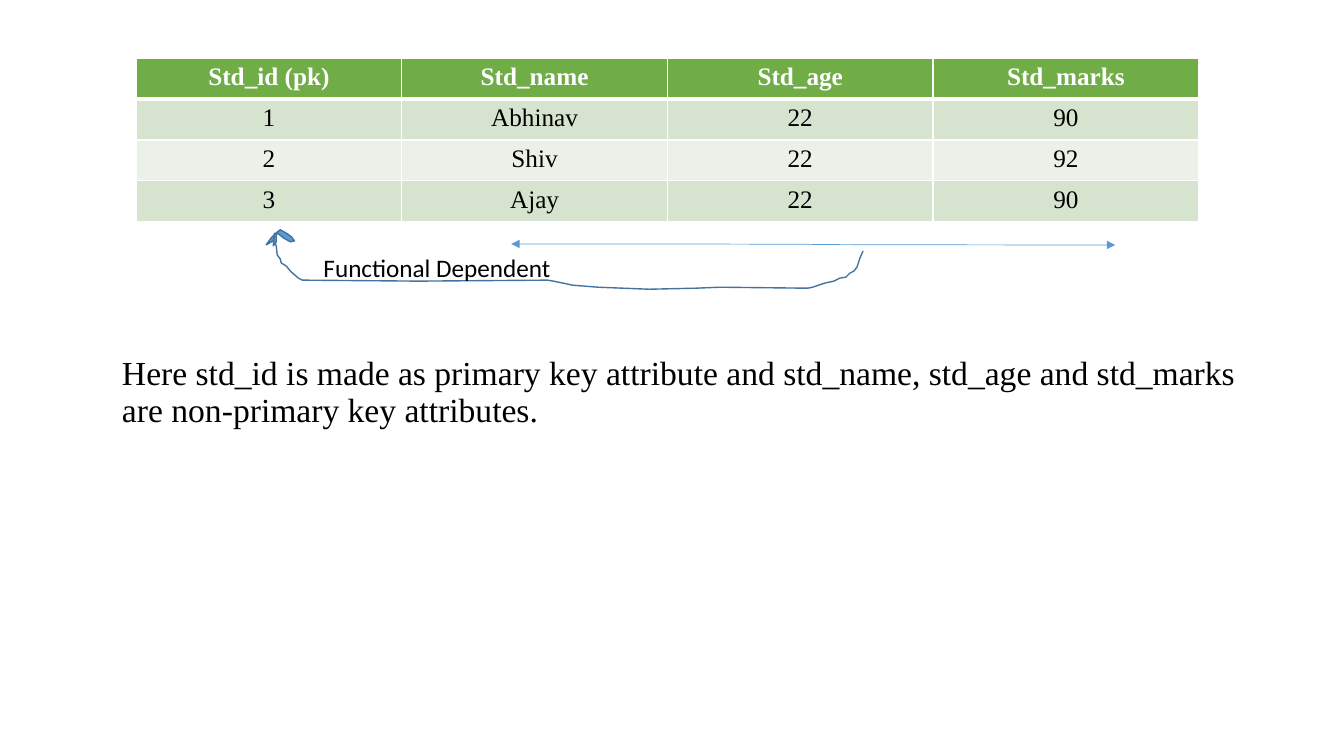
from lxml import etree
from pptx import Presentation
from pptx.dml.color import RGBColor
from pptx.enum import shapes, text
from pptx.oxml import ns
from pptx.util import Inches, Pt

WHITE = RGBColor(0xFF, 0xFF, 0xFF)
BLACK = RGBColor(0, 0, 0)
GREEN = RGBColor(0x70, 0xAD, 0x47)
SAGE = RGBColor(0xD5, 0xE3, 0xCF)
PALE = RGBColor(0xEB, 0xF1, 0xE9)
BLUE = RGBColor(0x5B, 0x9B, 0xD5)
NAVY = RGBColor(0x43, 0x73, 0x9E)
SERIF = "Times New Roman"


def write(frame, words, size=18, font=SERIF, color=BLACK, bold=False,
          align=text.PP_ALIGN.LEFT, space=1.0):
    para = frame.paragraphs[0]
    para.alignment, para.line_spacing = align, space
    run = para.add_run()
    run.text = words
    run.font.name, run.font.size = font, Pt(size)
    run.font.bold, run.font.color.rgb = bold, color


def draw(points, close):
    spots = [(Inches(x), Inches(y)) for x, y in points]
    pen = slide.shapes.build_freeform(*spots[0])
    pen.add_line_segments(spots[1:], close=close)
    shape = pen.convert_to_shape()
    shape.shadow.inherit = False
    shape.line.color.rgb, shape.line.width = NAVY, Pt(1)
    return shape


deck = Presentation()
deck.slide_width, deck.slide_height = Inches(13.33), Inches(7.5)
slide = deck.slides.add_slide(deck.slide_layouts[5])

# Explanation
title = slide.shapes.title
title.left, title.top = Inches(1.11), Inches(3.25)
title.width, title.height = Inches(11.4), Inches(1.06)
title.text_frame.word_wrap = True
title.text_frame.vertical_anchor = text.MSO_ANCHOR.BOTTOM
write(title.text_frame, "Here std_id is made as primary key attribute and "
      "std_name, std_age and std_marks are non-primary key attributes.",
      size=24, space=0.9)

# Student table
rows = [("Std_id (pk)", "Std_name", "Std_age", "Std_marks"),
        ("1", "Abhinav", "22", "90"),
        ("2", "Shiv", "22", "92"),
        ("3", "Ajay", "22", "90")]
table = slide.shapes.add_table(4, 4, Inches(1.35), Inches(0.58),
                               Inches(10.54), Inches(1.62)).table
for r, row in enumerate(rows):
    head = r == 0
    for c, words in enumerate(row):
        cell = table.cell(r, c)
        write(cell.text_frame, words, color=WHITE if head else BLACK,
              bold=head, align=text.PP_ALIGN.CENTER)
        props = cell._tc.get_or_add_tcPr()
        for side in "LRTB":
            thick = (head and side == "B") or (r == 1 and side == "T")
            edge = etree.SubElement(props, ns.qn("a:ln" + side),
                                    w=str(Pt(3 if thick else 1)))
            paint = etree.SubElement(edge, ns.qn("a:solidFill"))
            etree.SubElement(paint, ns.qn("a:srgbClr"), val=str(WHITE))
        cell.fill.solid()
        cell.fill.fore_color.rgb = GREEN if head else SAGE if r % 2 else PALE

# Double arrow under the dependent columns
span = slide.shapes.add_connector(shapes.MSO_CONNECTOR.CURVE, Inches(5.07),
                                  Inches(2.42), Inches(11.06), Inches(2.43))
span.line.color.rgb, span.line.width = BLUE, Pt(0.5)
line = span.line._get_or_add_ln()
for end in ("a:headEnd", "a:tailEnd"):
    etree.SubElement(line, ns.qn(end), type="triangle")
etree.SubElement(span._element.spPr, ns.qn("a:effectLst"))

# Hand-drawn link back to the key
link = draw([(8.56, 2.49), (8.53, 2.56), (8.5, 2.65), (8.47, 2.69),
             (8.43, 2.71), (8.39, 2.75), (8.33, 2.76), (8.27, 2.79),
             (8.18, 2.81), (8.06, 2.85), (8.01, 2.86), (7.14, 2.85),
             (6.9, 2.86), (6.44, 2.87), (5.93, 2.85), (5.68, 2.83),
             (5.49, 2.79), (5.43, 2.78), (4.15, 2.79), (3, 2.78),
             (2.96, 2.76), (2.88, 2.69), (2.84, 2.64), (2.79, 2.61),
             (2.78, 2.57), (2.75, 2.53), (2.74, 2.44), (2.73, 2.41),
             (2.72, 2.31)], close=False)
link.fill.background()
tip = draw([(2.75, 2.31), (2.74, 2.34), (2.74, 2.4), (2.71, 2.44),
            (2.72, 2.35), (2.71, 2.39), (2.64, 2.43), (2.69, 2.36),
            (2.74, 2.31), (2.78, 2.28), (2.85, 2.32), (2.89, 2.35),
            (2.92, 2.39), (2.88, 2.4), (2.81, 2.36)], close=True)
tip.fill.solid()
tip.fill.fore_color.rgb = BLUE

# Link label
label = slide.shapes.add_textbox(Inches(3.11), Inches(2.45),
                                 Inches(3.35), Inches(0.4))
label.text_frame.word_wrap = True
write(label.text_frame, "Functional Dependent", font="Calibri")

deck.save("out.pptx")
